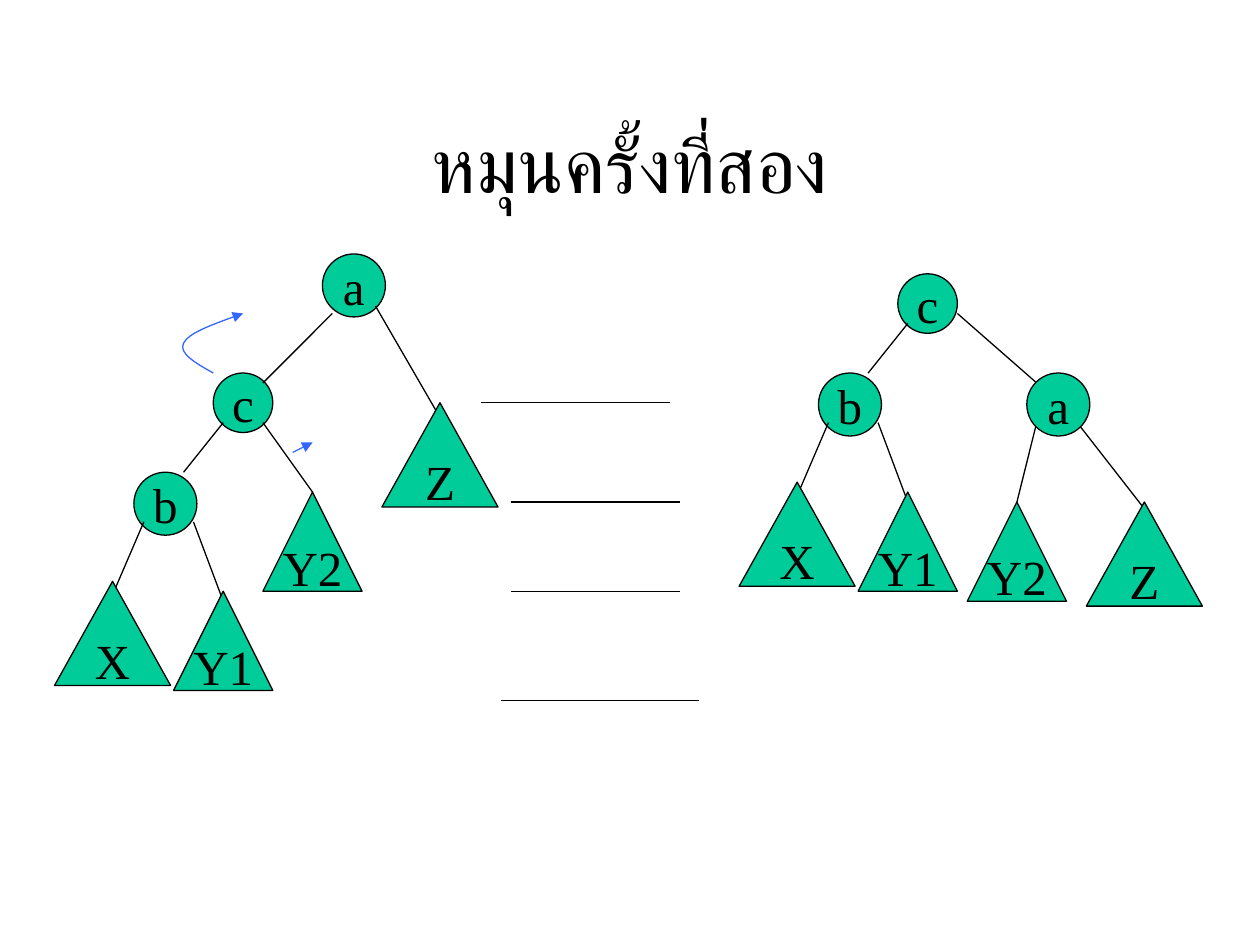
from lxml.etree import SubElement
from pptx import Presentation
from pptx.dml.color import RGBColor
from pptx.enum.shapes import MSO_CONNECTOR as Connector, MSO_SHAPE as Shape
from pptx.enum.text import MSO_ANCHOR as Anchor, PP_ALIGN as Align
from pptx.oxml.ns import qn
from pptx.util import Cm, Pt

BLACK = RGBColor(0x00, 0x00, 0x00)
GREEN = RGBColor(0x00, 0xCC, 0x99)
BLUE = RGBColor(0x33, 0x66, 0xFF)
FONT = "Times New Roman"
LARGE, SMALL = (2.34, 2.1), (2, 2)  # width and height of a subtree triangle


def write(shape, text, size, wrap):
    frame = shape.text_frame
    frame.word_wrap = wrap
    frame.vertical_anchor = Anchor.MIDDLE
    para = frame.paragraphs[0]
    para.text = text
    para.alignment = Align.CENTER
    para.font.name = FONT
    para.font.size = Pt(size)
    para.font.color.rgb = BLACK


def set_line(line, color):
    line.color.rgb = color
    line.width = Pt(0.75)


def add_arrowhead(shape):
    SubElement(shape.line._get_or_add_ln(), qn("a:tailEnd"), type="triangle")


def add_node(page, origin, kind, label, position, size):
    left, top = (Cm(o + p) for o, p in zip(origin, position))
    node = page.shapes.add_shape(kind, left, top, Cm(size[0]), Cm(size[1]))
    node.shadow.inherit = False
    node.fill.solid()
    node.fill.fore_color.rgb = GREEN
    set_line(node.line, BLACK)
    write(node, label, 28, wrap=False)


def add_circle(page, origin, label, position, diameter=1.27):
    add_node(page, origin, Shape.OVAL, label, position, (diameter, diameter))


def add_triangle(page, origin, label, position, size):
    add_node(page, origin, Shape.ISOSCELES_TRIANGLE, label, position, size)


def add_edge(page, origin, start, end, color=BLACK):
    x, y = origin
    edge = page.shapes.add_connector(
        Connector.STRAIGHT,
        Cm(x + start[0]), Cm(y + start[1]), Cm(x + end[0]), Cm(y + end[1]))
    set_line(edge.line, color)
    SubElement(edge._element.spPr, qn("a:effectLst"))
    return edge


def add_curve(page, origin, points):
    """Draw cubic curves: a start point, then three points for each curve."""
    start, *rest = [(Cm(origin[0] + x), Cm(origin[1] + y)) for x, y in points]
    builder = page.shapes.build_freeform(*start)
    builder.add_line_segments(rest, close=False)
    curve = builder.convert_to_shape()
    curve.shadow.inherit = False
    curve.fill.background()
    set_line(curve.line, BLUE)
    segments = list(curve._element.iter(qn("a:lnTo")))
    outline = segments[0].getparent()
    for first in range(0, len(segments), 3):
        bezier = SubElement(outline, qn("a:cubicBezTo"))
        for segment in segments[first:first + 3]:
            bezier.append(segment[0])
            outline.remove(segment)
    add_arrowhead(curve)


def add_title(page, left, top, width, height):
    box = page.shapes.add_textbox(Cm(left), Cm(top), Cm(width), Cm(height))
    write(box, "หมุนครั้งที่สอง", 44, wrap=True)


def add_level_lines(page, left, top):
    for x, y, length in [(0, 0, 3.8), (0.6, 2, 3.4), (0.6, 3.8, 3.4), (0.4, 6, 4)]:
        add_edge(page, (left, top), (x, y), (x + length, y))


def add_b_subtree(page, left, top):
    """Draw b with X and Y1 below it and the edge up to its parent c."""
    origin = left, top
    add_circle(page, origin, "b", (1.6, 0))
    for start, end in [((1.8, 1), (1.2, 2.4)), ((2.8, 1), (3.4, 2.6)),
                       ((2.6, 0), (3.4, -1))]:
        add_edge(page, origin, start, end)
    add_triangle(page, origin, "X", (0, 2.2), LARGE)
    add_triangle(page, origin, "Y1", (2.4, 2.4), SMALL)


def add_tree_before(page, left, top):
    origin = left, top
    add_circle(page, origin, "c", (3.2, 2.4), 1.2)
    add_circle(page, origin, "a", (5.4, 0))
    for start, end in [((5.6, 1.2), (4.2, 2.6)), ((6.47, 1.05), (7.94, 3.59)),
                       ((4.2, 3.4), (5.2, 4.8))]:
        add_edge(page, origin, start, end)
    add_b_subtree(page, left, top + 4.4)
    add_triangle(page, origin, "Z", (6.6, 3), LARGE)
    add_triangle(page, origin, "Y2", (4.2, 4.8), SMALL)
    add_curve(page, origin, [(3.2, 2.4), (2.84, 2.2), (2.5, 2), (2.6, 1.8),
                             (2.7, 1.6), (3.24, 1.4), (3.8, 1.2)])
    add_arrowhead(add_edge(page, origin, (4.8, 4), (5.2, 3.8), BLUE))


def add_tree_after(page, left, top):
    origin = left, top
    add_circle(page, origin, "c", (3.2, 0), 1.2)
    for start, end in [((6, 3), (5.6, 4.6)), ((6, 2.2), (4.4, 0.8)),
                       ((6.87, 3.07), (8.21, 4.79))]:
        add_edge(page, origin, start, end)
    add_b_subtree(page, left, top + 2)
    add_circle(page, origin, "a", (5.8, 2))
    add_triangle(page, origin, "Z", (7, 4.6), LARGE)
    add_triangle(page, origin, "Y2", (4.6, 4.6), SMALL)


def main():
    deck = Presentation()
    deck.slide_width, deck.slide_height = Cm(25.4), Cm(19.05)
    page = deck.slides.add_slide(deck.slide_layouts[6])
    add_title(page, 1.9, 1.7, 21.6, 3.18)
    add_level_lines(page, 9.7, 8.12)
    add_tree_before(page, 1.1, 5.12)
    add_tree_after(page, 14.9, 5.52)
    deck.save("out.pptx")


if __name__ == "__main__":
    main()
